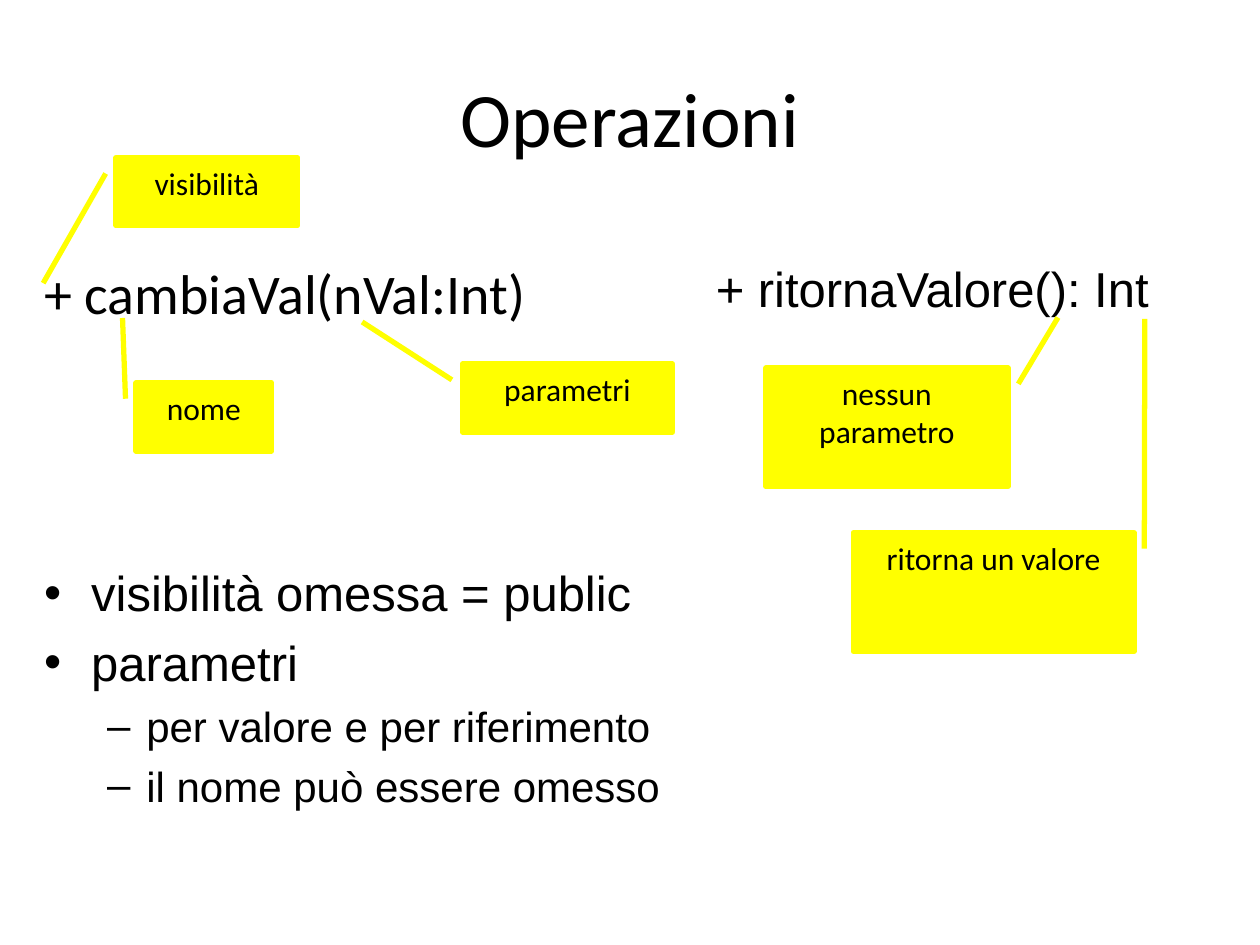
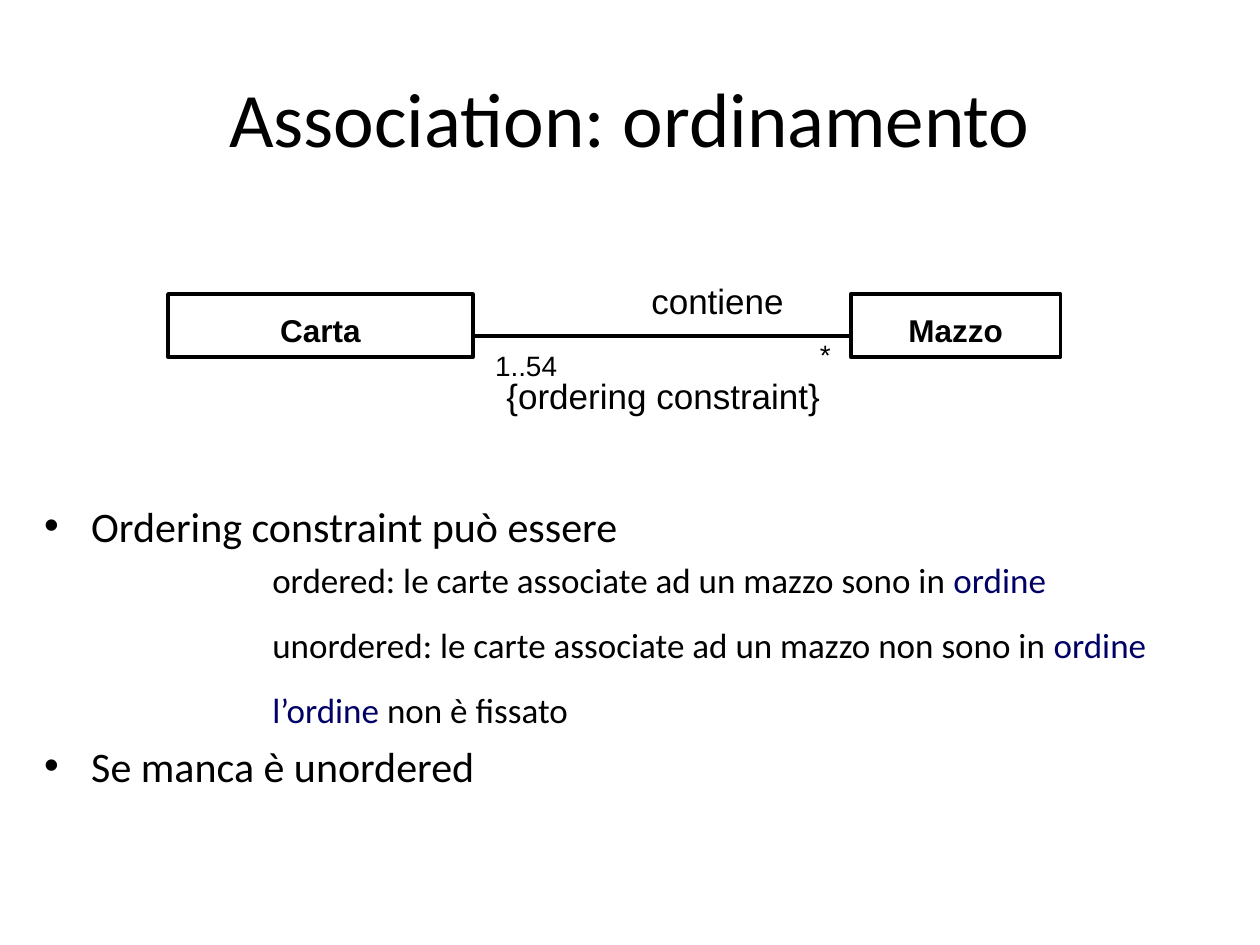
from dataclasses import dataclass

from lxml import etree
from pptx import Presentation
from pptx.dml.color import RGBColor
from pptx.enum.shapes import MSO_CONNECTOR, MSO_SHAPE
from pptx.enum.text import MSO_ANCHOR, PP_ALIGN
from pptx.oxml.ns import qn
from pptx.util import Cm, Pt

CENTER = PP_ALIGN.CENTER
LEFT = PP_ALIGN.LEFT
TOP = MSO_ANCHOR.TOP
MIDDLE = MSO_ANCHOR.MIDDLE
CALLOUT = MSO_SHAPE.LINE_CALLOUT_1
RECTANGLE = MSO_SHAPE.RECTANGLE
STRAIGHT = MSO_CONNECTOR.STRAIGHT


@dataclass(frozen=True)
class Theme:
    text = RGBColor(0, 0, 0)
    accent = RGBColor(0, 0, 0x66)
    callout = RGBColor(0xFF, 0xFF, 0)
    heading_font = "Calibri"
    plain_font = "Arial"
    title_size = 44
    signature_size = 32
    point_size = 28
    subpoint_size = 24
    label_size = 20
    box_size = 18
    multiplicity_size = 16
    callout_line = 3
    diagram_line = 2.25
    space_ratio = 0.22


theme = Theme()


def write(paragraph, text, font, size, bold=False, align=LEFT):
    """Fill a paragraph; text between | marks takes the accent colour."""
    for index, part in enumerate(text.split("|")):
        if part:
            run = paragraph.add_run()
            run.text = part
            if index % 2:
                run.font.color.rgb = theme.accent
    paragraph.alignment = align
    paragraph.font.name = font
    paragraph.font.size = Pt(size)
    paragraph.font.bold = bold
    paragraph.font.color.rgb = theme.text


def add_text(slide, box, rows, font):
    """Add a text box; each row is text, size, bullet, margin, hanging, space before."""
    frame = slide.shapes.add_textbox(*map(Cm, box)).text_frame
    frame.word_wrap = True
    for index, (text, size, bullet, margin, hanging, space) in enumerate(rows):
        paragraph = frame.paragraphs[0] if index == 0 else frame.add_paragraph()
        properties = paragraph._p.get_or_add_pPr()
        properties.set("marL", str(Cm(margin)))
        properties.set("indent", str(-Cm(hanging)))
        if bullet:
            etree.SubElement(properties, qn("a:buFont"), typeface="Arial")
            etree.SubElement(properties, qn("a:buChar"), char=bullet)
        if index:
            paragraph.space_before = Pt(space or round(size * theme.space_ratio, 1))
        write(paragraph, text, font, size)


presentation = Presentation()
presentation.slide_width = Cm(25.4)
presentation.slide_height = Cm(19.05)

slides = []
for title_text in ("Operazioni", "Association: ordinamento"):
    slide = presentation.slides.add_slide(presentation.slide_layouts[5])
    title = slide.shapes.title
    title.left, title.top, title.width, title.height = map(Cm, (1.27, 0.76, 22.86, 3.18))
    title.text_frame.vertical_anchor = MIDDLE
    write(title.text_frame.paragraphs[0], title_text, theme.heading_font,
          theme.title_size, align=CENTER)
    slides.append(slide)
operations, ordering = slides

# Operations: two signatures, their callouts and the rules
point = ("•", 0.95, 0.95, None)
subpoint = ("–", 2.06, 0.79, None)
plain = (None, 0, 0, None)

add_text(operations, (0.64, 5.08, 11.43, 1.9),
         [("+ cambiaVal(nVal:Int)", theme.signature_size, *plain)], theme.heading_font)
add_text(operations, (14.18, 5.08, 10.8, 2.12),
         [("+ ritornaValore(): Int", theme.point_size, *plain)], theme.plain_font)
add_text(operations, (0.64, 11.22, 23.92, 7.41), [
    ("visibilità omessa = public", theme.point_size, *point),
    ("parametri", theme.point_size, *point),
    ("per valore e per riferimento", theme.subpoint_size, *subpoint),
    ("il nome può essere omesso", theme.subpoint_size, *subpoint),
], theme.plain_font)

# Lines of text, box, point on the signature
callouts = [
    (["nome"], (2.74, 7.72, 2.74, 1.37), (2.47, 6.41)),
    (["visibilità"], (2.34, 3.18, 3.66, 1.37), (0.87, 5.71)),
    (["parametri"], (9.32, 7.34, 4.24, 1.37), (7.3, 6.49)),
    (["nessun", "parametro"], (15.44, 7.42, 4.88, 2.39), (21.33, 6.4)),
    (["ritorna un valore"], (17.2, 10.74, 5.66, 2.39), (23.08, 6.43)),
]
pointer_drop, pointer_gap = 0.32, 0.21
for lines, (left, top, width, height), (target_x, target_y) in callouts:
    callout = operations.shapes.add_shape(CALLOUT, Cm(left), Cm(top), Cm(width), Cm(height))
    start_x = -pointer_gap if target_x < left else width + pointer_gap
    pointer = (pointer_drop / height, start_x / width,
               (target_y - top) / height, (target_x - left) / width)
    for index, value in enumerate(pointer):
        callout.adjustments[index] = value
    callout.shadow.inherit = False
    callout.fill.solid()
    callout.fill.fore_color.rgb = theme.callout
    callout.line.color.rgb = theme.callout
    callout.line.width = Pt(theme.callout_line)
    frame = callout.text_frame
    frame.word_wrap = True
    frame.vertical_anchor = TOP
    for index, line in enumerate(lines):
        paragraph = frame.paragraphs[0] if index == 0 else frame.add_paragraph()
        write(paragraph, line, theme.heading_font, theme.box_size, align=CENTER)

# Ordering: class diagram
class_top, class_height, association_y = 5.93, 1.27, 6.78
classes = [("Carta", 3.39, 6.14), ("Mazzo", 17.15, 4.23)]
for name, left, width in classes:
    class_box = ordering.shapes.add_shape(
        RECTANGLE, Cm(left), Cm(class_top), Cm(width), Cm(class_height))
    class_box.shadow.inherit = False
    class_box.fill.background()
    class_box.line.color.rgb = theme.text
    class_box.line.width = Pt(theme.diagram_line)
    frame = class_box.text_frame
    frame.vertical_anchor = MIDDLE
    frame.margin_top = Cm(0.28)
    write(frame.paragraphs[0], name, theme.plain_font, theme.box_size, True, CENTER)

association = ordering.shapes.add_connector(
    STRAIGHT, Cm(9.53), Cm(association_y), Cm(17.15), Cm(association_y))
association.line.color.rgb = theme.text
association.line.width = Pt(theme.diagram_line)
etree.SubElement(association._element.spPr, qn("a:effectLst"))

labels = [
    ("contiene", (12.88, 5.51, 3.18, 1.09), theme.label_size),
    ("*", (16.28, 6.68, 3.18, 0.94), theme.multiplicity_size),
    ("1..54", (9.73, 6.91, 3.18, 0.94), theme.multiplicity_size),
    ("{ordering constraint}", (9.96, 7.42, 8.46, 1.09), theme.label_size),
]
for text, box, size in labels:
    add_text(ordering, box, [(text, size, *plain)], theme.plain_font)

# Ordering: the possible constraints
first_option = (None, 4.6, 0, None)
option = (None, 4.6, 0, 13.3)
add_text(ordering, (0.64, 9.96, 24.13, 6.99), [
    ("Ordering constraint può essere", theme.subpoint_size, *point),
    ("ordered: le carte associate ad un mazzo sono in |ordine|",
     theme.label_size, *first_option),
    ("unordered: le carte associate ad un mazzo non sono in |ordine|",
     theme.label_size, *option),
    ("|l’ordine| non è fissato", theme.label_size, *option),
    ("Se manca è unordered", theme.subpoint_size, *point),
], theme.heading_font)

presentation.save("out.pptx")
